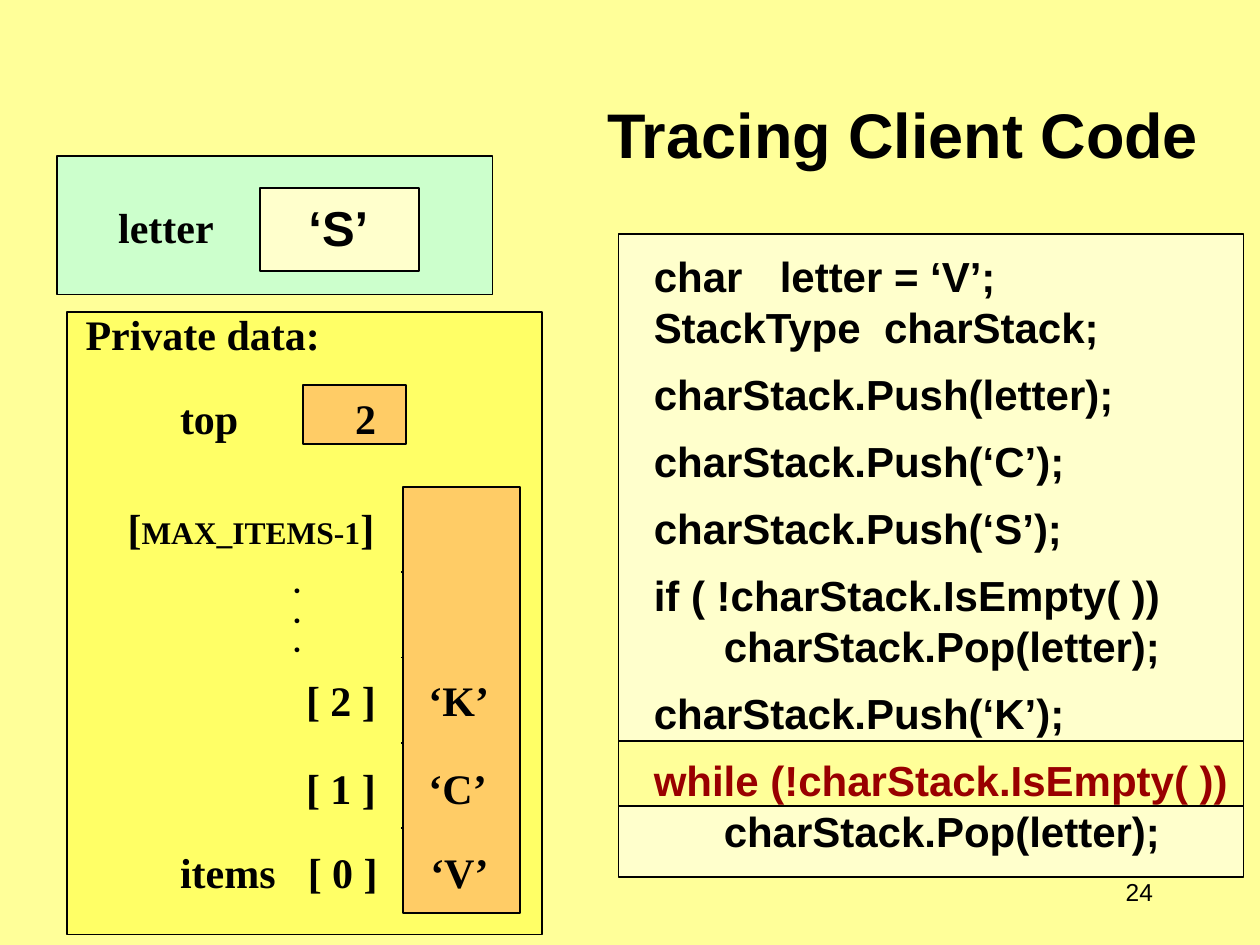
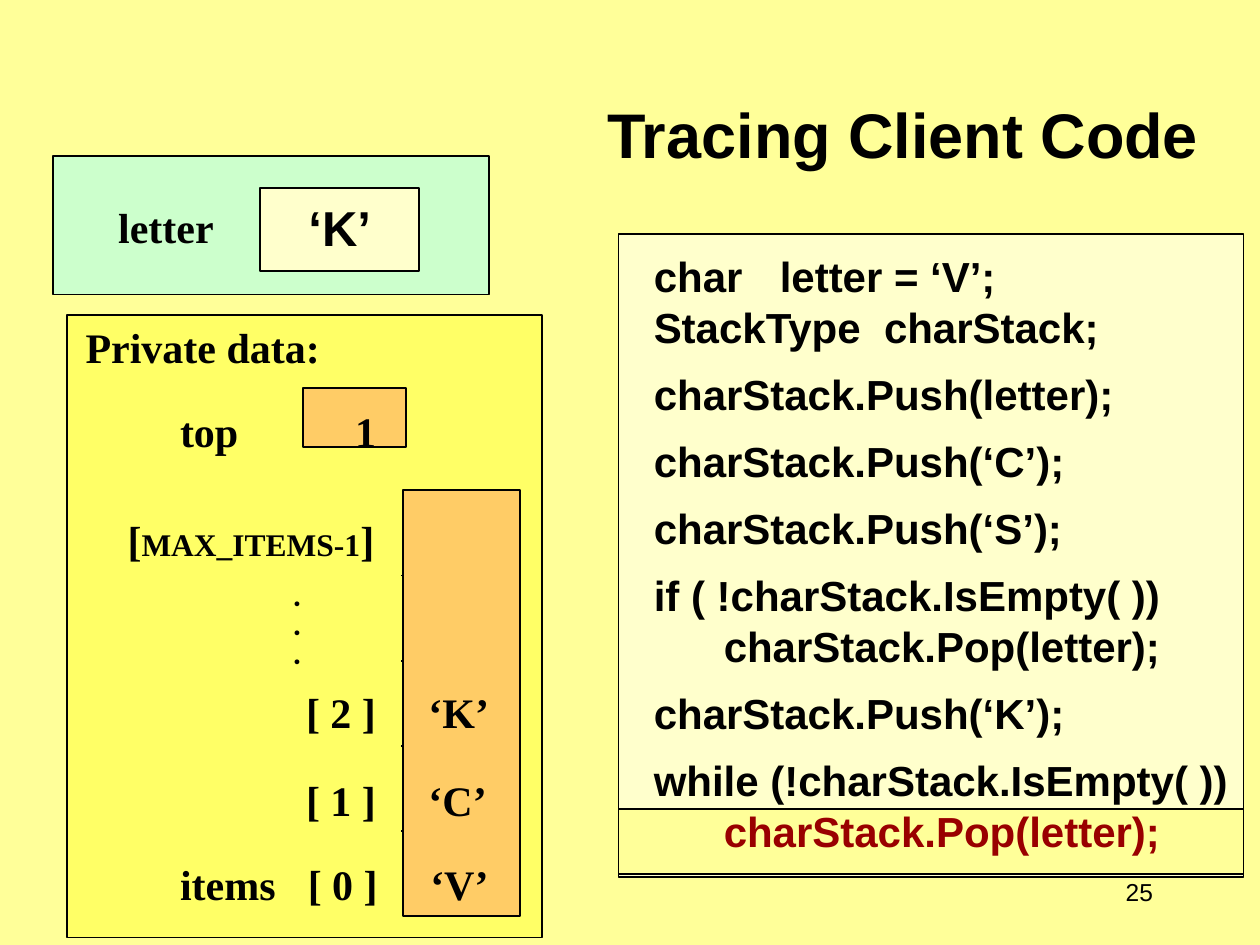
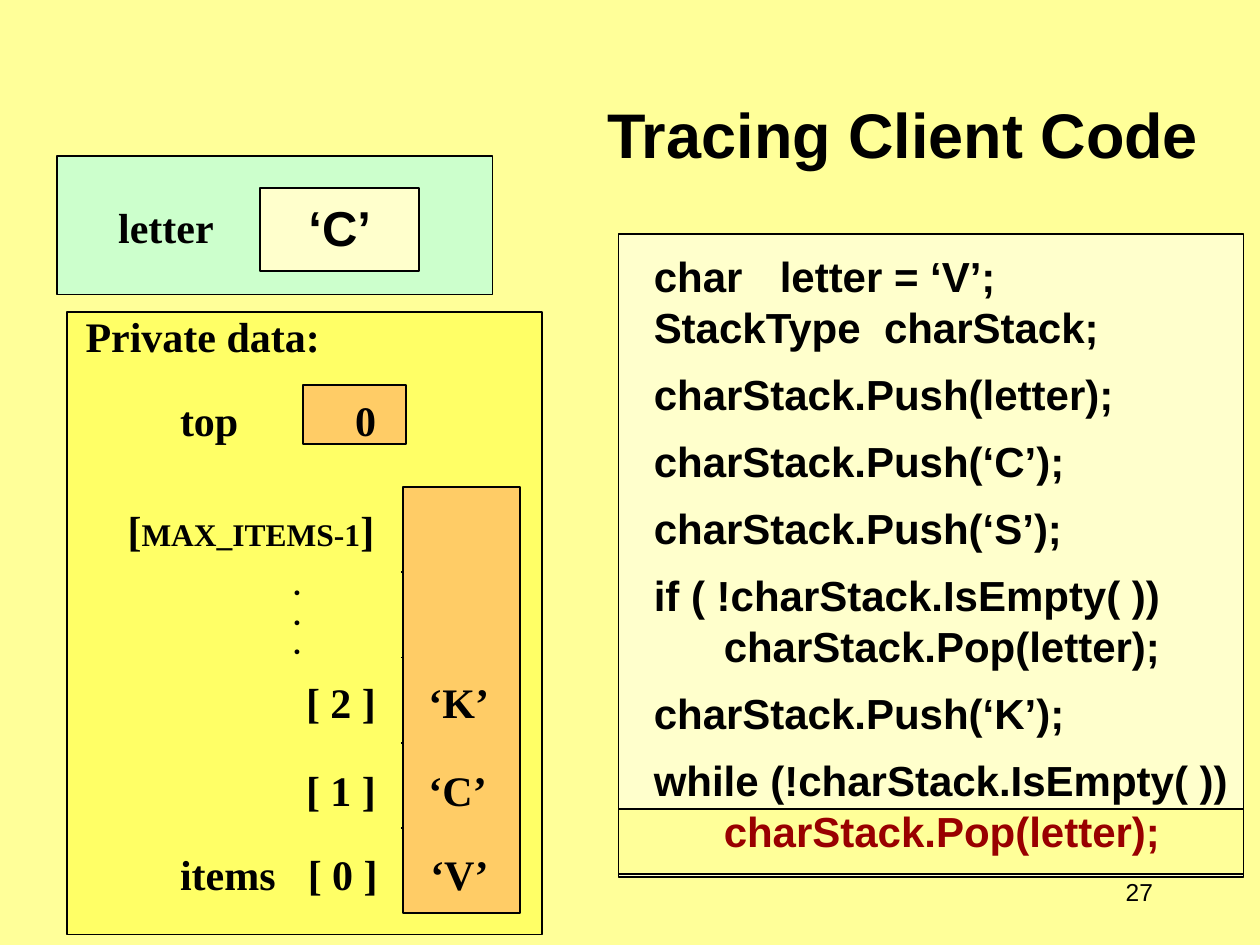
from dataclasses import dataclass

from lxml import etree
from pptx import Presentation
from pptx.dml.color import RGBColor
from pptx.enum.shapes import MSO_CONNECTOR, MSO_SHAPE
from pptx.enum.text import MSO_ANCHOR, MSO_AUTO_SIZE, PP_ALIGN
from pptx.oxml.ns import qn
from pptx.util import Pt

BLACK = RGBColor(0x00, 0x00, 0x00)
DARK_RED = RGBColor(0x99, 0x00, 0x00)
PALE_YELLOW = RGBColor(0xFF, 0xFF, 0x99)
CREAM = RGBColor(0xFF, 0xFF, 0xCC)
BRIGHT_YELLOW = RGBColor(0xFF, 0xFF, 0x66)
ORANGE = RGBColor(0xFF, 0xCC, 0x66)
MINT = RGBColor(0xCC, 0xFF, 0xCC)

RECTANGLE = MSO_SHAPE.RECTANGLE
STRAIGHT = MSO_CONNECTOR.STRAIGHT
LEFT, CENTER, RIGHT = PP_ALIGN.LEFT, PP_ALIGN.CENTER, PP_ALIGN.RIGHT
TOP, MIDDLE, BOTTOM = MSO_ANCHOR.TOP, MSO_ANCHOR.MIDDLE, MSO_ANCHOR.BOTTOM
NO_FIT, GROW = MSO_AUTO_SIZE.NONE, MSO_AUTO_SIZE.SHAPE_TO_FIT_TEXT

SANS, SERIF, DOT_FONT = "Arial", "Times New Roman", "Montserrat"
LINE_HEIGHT = 1.2
TITLE_ONLY = 5

TITLE = "Tracing Client Code"
CELL_COUNT = 5


@dataclass
class Row:
    """One line of text; gap is the empty space above it, in text-size points."""
    spans: tuple
    gap: float = 0
    stops: tuple = ()
    indent: float = 0
    size: float = 24
    font: str = SERIF
    color: RGBColor = BLACK


@dataclass
class Step:
    number: int
    letter: str
    top: int
    active_line: int
    highlight_top: float
    letter_left: float = 32.4
    text_top: float = 173
    shift: float = 0


STEPS = (
    Step(24, "‘S’", 2, 8, 423.4),
    Step(25, "‘K’", 1, 9, 462.2, letter_left=30.2, text_top=180, shift=1.8),
    Step(27, "‘C’", 0, 9, 462.2, text_top=174.2),
)

# Each line of client code: text, gap above, indent
CODE = (
    ("char\tletter = ‘V’;", 0, 0),
    ("StackType  charStack;", 0, 0),
    ("charStack.Push(letter);", 8, 0),
    ("charStack.Push(‘C’);", 8, 0),
    ("charStack.Push(‘S’);", 8, 0),
    ("if ( !charStack.IsEmpty( ))", 8, 0),
    ("charStack.Pop(letter);", 0, 40),
    ("charStack.Push(‘K’);", 8, 0),
    ("while (!charStack.IsEmpty( ))", 8, 0),
    ("charStack.Pop(letter);", 0, 40),
)


class TraceDeck:
    def __init__(self):
        self.deck = Presentation()
        self.deck.slide_width, self.deck.slide_height = Pt(720), Pt(540)
        fill = self.deck.slide_master.background.fill
        fill.solid()
        fill.fore_color.rgb = PALE_YELLOW
        self.slide = None

    def new_slide(self):
        layout = self.deck.slide_layouts[TITLE_ONLY]
        self.slide = self.deck.slides.add_slide(layout)

    def style_run(self, run, size, font=SANS, color=BLACK, bold=True):
        run.font.size = Pt(size)
        run.font.name = font
        run.font.bold = bold
        run.font.color.rgb = color

    def title(self, text):
        box = self.slide.shapes.title
        box.left, box.top, box.width, box.height = Pt(311.8), Pt(11.5), Pt(408.2), Pt(90)
        frame = box.text_frame
        frame.text = text
        frame.auto_size = NO_FIT
        frame.vertical_anchor = BOTTOM
        frame.paragraphs[0].alignment = CENTER
        self.style_run(frame.paragraphs[0].runs[0], 36)

    def rectangle(self, left, top, width, height, color, shapes=None):
        shapes = shapes or self.slide.shapes
        box = shapes.add_shape(RECTANGLE, Pt(left), Pt(top), Pt(width), Pt(height))
        box.shadow.inherit = False
        box.fill.solid()
        box.fill.fore_color.rgb = color
        box.line.color.rgb = BLACK
        box.line.width = Pt(1)

    def divider(self, shapes, left, right, y):
        line = shapes.add_connector(STRAIGHT, Pt(left), Pt(y), Pt(right), Pt(y))
        line.line.color.rgb = BLACK
        line.line.width = Pt(1)
        etree.SubElement(line._element.spPr, qn("a:effectLst"))

    def text_box(self, left, top, width, height, wrap=True, fit=GROW):
        box = self.slide.shapes.add_textbox(Pt(left), Pt(top), Pt(width), Pt(height))
        frame = box.text_frame
        frame.word_wrap = wrap
        frame.auto_size = fit
        return frame

    def label(self, text, left, top, width, height, size, font=SANS, bold=True,
              align=LEFT, anchor=TOP):
        frame = self.text_box(left, top, width, height, align == RIGHT, NO_FIT)
        frame.text = text
        frame.vertical_anchor = anchor
        frame.paragraphs[0].alignment = align
        self.style_run(frame.paragraphs[0].runs[0], size, font, bold=bold)

    def rows(self, rows, left, top, width, height):
        frame = self.text_box(left, top, width, height)
        for index, row in enumerate(rows):
            para = frame.add_paragraph() if index else frame.paragraphs[0]
            para.line_spacing = Pt(LINE_HEIGHT * row.size)
            para.space_before = Pt(LINE_HEIGHT * row.gap)
            for text, size in row.spans:
                run = para.add_run()
                run.text = text
                self.style_run(run, size, row.font, row.color)
            self.indent(para, row)

    def indent(self, para, row):
        properties = para._p.get_or_add_pPr()
        if row.indent:
            properties.set("marL", str(Pt(row.indent)))
        if row.stops:
            tabs = etree.SubElement(properties, qn("a:tabLst"))
            for stop in row.stops:
                etree.SubElement(tabs, qn("a:tab"), pos=str(Pt(stop)), algn="l")

    def code_panel(self, step):
        self.rectangle(353.5, 133.9, 357.1, 367.2, CREAM)
        self.rectangle(353.5, step.highlight_top, 357.1, 37.4, PALE_YELLOW)
        rows = [
            Row(((text, 24),), gap, indent=indent, font=SANS,
                color=DARK_RED if index == step.active_line else BLACK)
            for index, (text, gap, indent) in enumerate(CODE)
        ]
        self.rows(rows, 366.5, 139.7, 353.5, 352.8)

    def stack_cells(self, left, top, width, height):
        shapes = self.slide.shapes.add_group_shape().shapes
        self.rectangle(left, top, width, height, ORANGE, shapes)
        for index in range(1, CELL_COUNT):
            y = top + index * height / CELL_COUNT
            self.divider(shapes, left - 1.2, left + width, y)

    def private_data(self, step):
        self.rectangle(38.2, 178.3 + step.shift, 271.4, 355.7, BRIGHT_YELLOW)
        self.rectangle(173.3, 219.9 + step.shift, 58.6, 33.8, ORANGE)
        self.stack_cells(230.4, 278.4 + step.shift, 66.6, 243.4)

    def private_text(self, step):
        dot = (("\t.", 14),)
        dot_style = {"stops": (119,), "size": 14, "font": DOT_FONT}
        rows = [
            Row((("Private data:", 24),)),
            Row(((f"\ttop\t{step.top}", 24),), 16, (54, 154)),
            Row((("\t[", 24), ("MAX_ITEMS-1", 18), ("]", 24)), 28, (24,)),
            Row(dot, 8, **dot_style),
            Row(dot, **dot_style),
            Row(dot, **dot_style),
            Row((("\t[ 2 ]\t‘K’", 24),), 8, (126, 196)),
            Row((("\t[ 1 ]\t‘C’", 24),), 18, (126, 196)),
            Row((("\titems\t[ 0 ]\t‘V’", 24),), 16, (54, 127, 197)),
        ]
        self.rows(rows, 41.8, step.text_top, 257, 342.7)

    def letter_panel(self, step):
        self.rectangle(step.letter_left, 89.3, 249.1, 79, MINT)
        self.label("letter", 60.5, 111.6, 69.1, 36, 24, SERIF)
        self.rectangle(148.7, 107.3, 90.7, 47.5, CREAM)
        self.label(step.letter, 169.2, 109.4, 50, 41, 28)

    def trace_slide(self, step):
        self.new_slide()
        self.label(str(step.number), 617.8, 491.8, 48.2, 36, 14, bold=False,
                   align=RIGHT, anchor=MIDDLE)
        self.code_panel(step)
        self.title(TITLE)
        self.private_data(step)
        self.letter_panel(step)
        self.private_text(step)


def main():
    trace = TraceDeck()
    for step in STEPS:
        trace.trace_slide(step)
    trace.deck.save("out.pptx")


if __name__ == "__main__":
    main()
